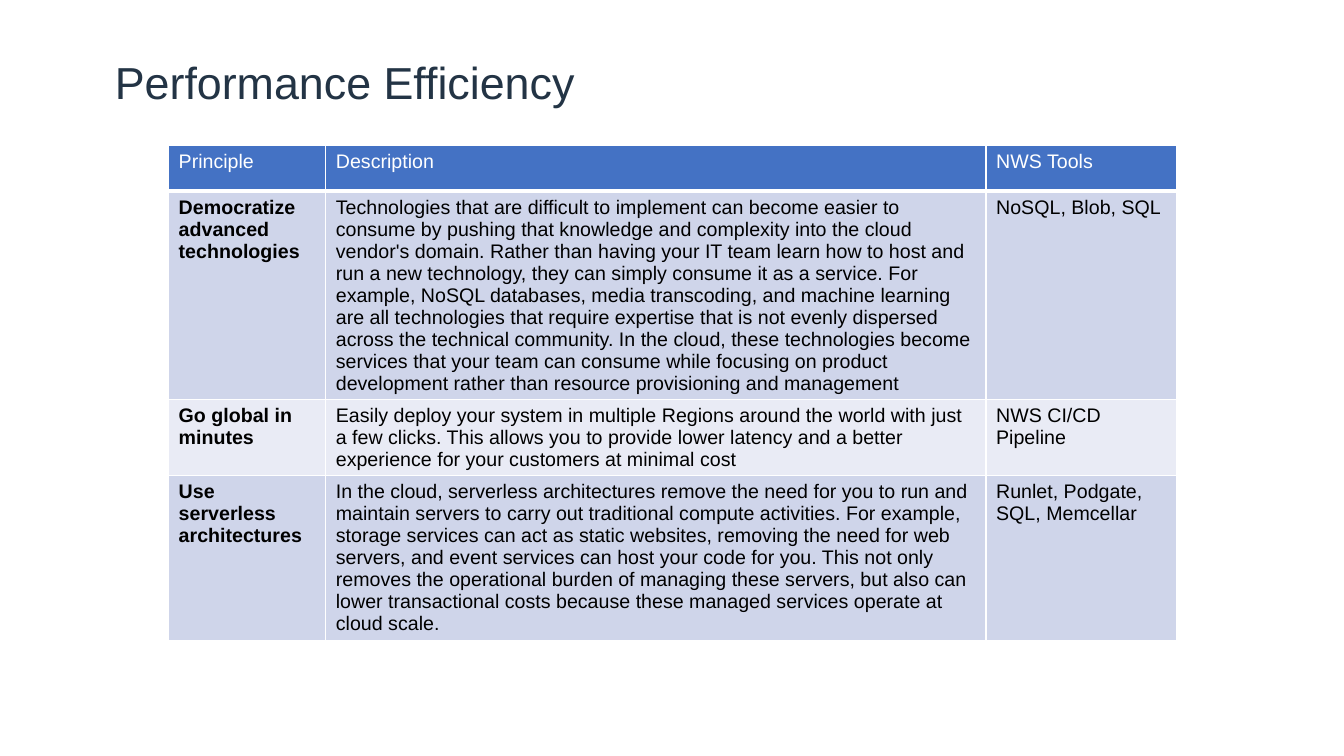
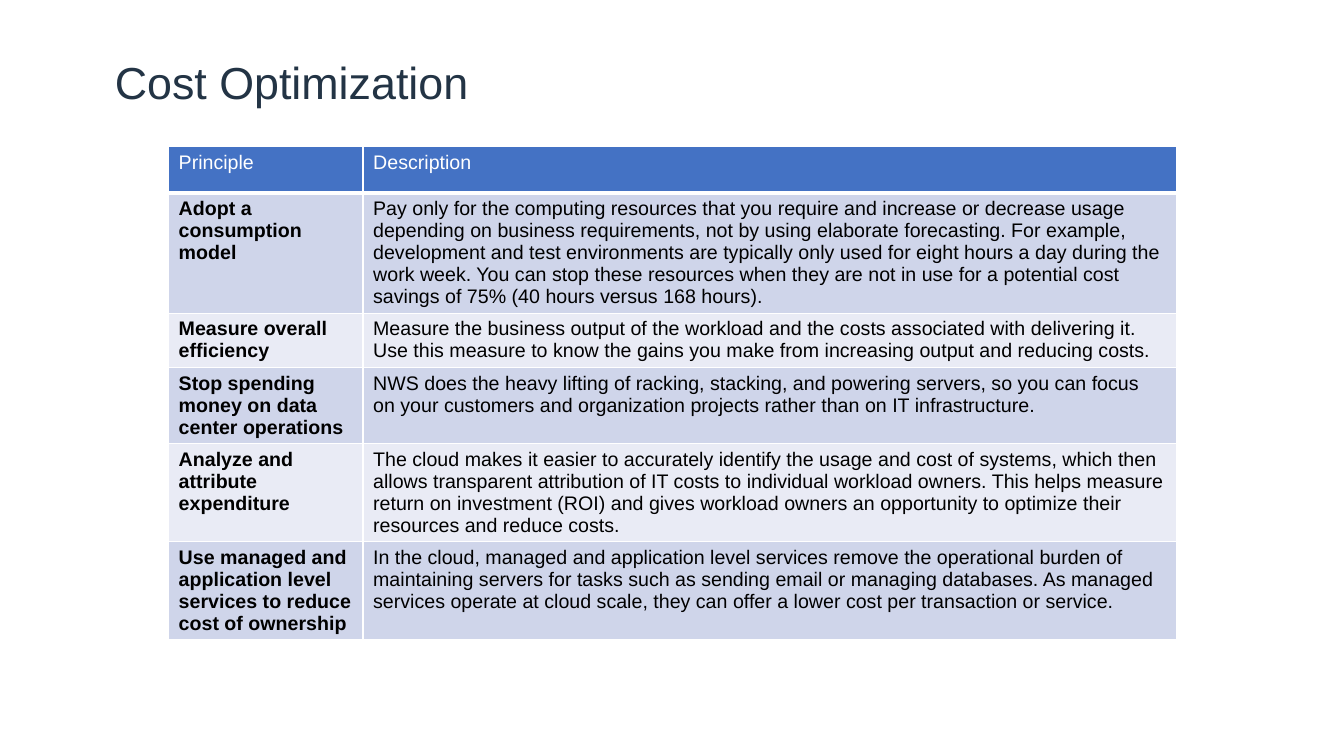
from dataclasses import dataclass

from lxml.etree import SubElement
from pptx import Presentation
from pptx.dml.color import RGBColor
from pptx.enum.text import MSO_ANCHOR as Anchor, MSO_AUTO_SIZE as AutoSize, PP_ALIGN as Align
from pptx.oxml.ns import qn
from pptx.presentation import Presentation as Deck
from pptx.slide import Slide
from pptx.table import _Cell as Cell
from pptx.text.text import _Paragraph as Paragraph
from pptx.util import Cm, Pt

WHITE = RGBColor(0xFF, 0xFF, 0xFF)
BLACK = RGBColor(0x00, 0x00, 0x00)
TITLE_INK = RGBColor(0x23, 0x34, 0x45)
HEADER_BLUE = RGBColor(0x44, 0x72, 0xC4)
BANDS = (RGBColor(0xCF, 0xD5, 0xEA), RGBColor(0xE9, 0xEB, 0xF5))

FONT = "Arial"
TITLE_SIZE, TABLE_SIZE = Pt(32), Pt(14)
TABLE_LEFT = Cm(4.25)
HEADER_HEIGHT = Cm(1.16)
LINE_HEIGHT, CELL_PADDING = 0.55, 0.26  # cm
RULE, HEADER_RULE = Pt(1), Pt(3)


@dataclass(frozen=True)
class Principle:
    cells: tuple[str, ...]
    lines: int


@dataclass(frozen=True)
class Pillar:
    title: str
    top: float
    widths: tuple[float, ...]
    headings: tuple[str, ...]
    principles: tuple[Principle, ...]


PILLARS = (
    Pillar(
        "Performance Efficiency", 3.66, (3.96, 16.64, 4.8),
        ("Principle", "Description", "NWS Tools"),
        (
            Principle((
                "Democratize advanced technologies",
                "Technologies that are difficult to implement can become easier to consume by "
                "pushing that knowledge and complexity into the cloud vendor's domain. Rather than "
                "having your IT team learn how to host and run a new technology, they can simply "
                "consume it as a service. For example, NoSQL databases, media transcoding, and "
                "machine learning are all technologies that require expertise that is not evenly "
                "dispersed across the technical community. In the cloud, these technologies become "
                "services that your team can consume while focusing on product development rather "
                "than resource provisioning and management",
                "NoSQL, Blob, SQL"), 9),
            Principle((
                "Go global in minutes",
                "Easily deploy your system in multiple Regions around the world with just a few "
                "clicks. This allows you to provide lower latency and a better experience for your "
                "customers at minimal cost",
                "NWS CI/CD Pipeline"), 3),
            Principle((
                "Use serverless architectures",
                "In the cloud, serverless architectures remove the need for you to run and maintain "
                "servers to carry out traditional compute activities. For example, storage services "
                "can act as static websites, removing the need for web servers, and event services "
                "can host your code for you. This not only removes the operational burden of "
                "managing these servers, but also can lower transactional costs because these "
                "managed services operate at cloud scale.",
                "Runlet, Podgate, SQL, Memcellar"), 7),
        ),
    ),
    Pillar(
        "Cost Optimization", 3.7, (4.9, 20.5),
        ("Principle", "Description"),
        (
            Principle((
                "Adopt a consumption model",
                "Pay only for the computing resources that you require and increase or decrease "
                "usage depending on business requirements, not by using elaborate forecasting. For "
                "example, development and test environments are typically only used for eight hours "
                "a day during the work week. You can stop these resources when they are not in use "
                "for a potential cost savings of 75% (40 hours versus 168 hours)."), 5),
            Principle((
                "Measure overall efficiency",
                "Measure the business output of the workload and the costs associated with "
                "delivering it. Use this measure to know the gains you make from increasing output "
                "and reducing costs."), 2),
            Principle((
                "Stop spending money on data center operations",
                "NWS does the heavy lifting of racking, stacking, and powering servers, so you can "
                "focus on your customers and organization projects rather than on IT "
                "infrastructure."), 3),
            Principle((
                "Analyze and attribute expenditure",
                "The cloud makes it easier to accurately identify the usage and cost of systems, "
                "which then allows transparent attribution of IT costs to individual workload "
                "owners. This helps measure return on investment (ROI) and gives workload owners an "
                "opportunity to optimize their resources and reduce costs."), 4),
            Principle((
                "Use managed and application level services to reduce cost of ownership",
                "In the cloud, managed and application level services remove the operational burden "
                "of maintaining servers for tasks such as sending email or managing databases. As "
                "managed services operate at cloud scale, they can offer a lower cost per "
                "transaction or service."), 4),
        ),
    ),
)


def add_run(paragraph: Paragraph, text: str, size: Pt, color: RGBColor, bold: bool = False) -> None:
    run = paragraph.add_run()
    run.text = text
    run.font.name, run.font.size, run.font.bold = FONT, size, bold
    run.font.color.rgb = color


def add_title(slide: Slide, text: str) -> None:
    title = slide.shapes.title
    title.left, title.top, title.width, title.height = Cm(2.64), Cm(0.89), Cm(31.19), Cm(2.51)
    frame = title.text_frame
    frame.word_wrap, frame.auto_size = True, AutoSize.NONE
    frame.vertical_anchor = Anchor.MIDDLE
    paragraph = frame.paragraphs[0]
    paragraph.alignment, paragraph.line_spacing = Align.LEFT, 0.9
    add_run(paragraph, text, TITLE_SIZE, TITLE_INK)


def set_borders(cell: Cell, bottom: Pt) -> None:
    """Rule all four sides in white; call before filling, as the schema orders lines first."""
    properties = cell._tc.get_or_add_tcPr()
    for side, width in (("L", RULE), ("R", RULE), ("T", RULE), ("B", bottom)):
        line = SubElement(properties, qn(f"a:ln{side}"), w=str(int(width)))
        SubElement(SubElement(line, qn("a:solidFill")), qn("a:srgbClr"), val=str(WHITE))


def fill_cell(cell: Cell, text: str, fill: RGBColor, ink: RGBColor,
              bold: bool = False, bottom: Pt = RULE) -> None:
    set_borders(cell, bottom)
    cell.fill.solid()
    cell.fill.fore_color.rgb = fill
    add_run(cell.text_frame.paragraphs[0], text, TABLE_SIZE, ink, bold)


def add_principles(slide: Slide, pillar: Pillar) -> None:
    heights = [HEADER_HEIGHT] + [
        Cm(principle.lines * LINE_HEIGHT + CELL_PADDING) for principle in pillar.principles]
    table = slide.shapes.add_table(
        len(heights), len(pillar.widths), TABLE_LEFT, Cm(pillar.top),
        Cm(sum(pillar.widths)), sum(heights)).table
    table.first_row = table.horz_banding = False
    for column, width in zip(table.columns, pillar.widths):
        column.width = Cm(width)
    for row, height in zip(table.rows, heights):
        row.height = height
    for column, heading in enumerate(pillar.headings):
        fill_cell(table.cell(0, column), heading, HEADER_BLUE, WHITE, bottom=HEADER_RULE)
    for row, principle in enumerate(pillar.principles):
        for column, text in enumerate(principle.cells):
            fill_cell(table.cell(row + 1, column), text, BANDS[row % 2], BLACK, bold=column == 0)


def add_pillar(deck: Deck, pillar: Pillar) -> None:
    slide = deck.slides.add_slide(deck.slide_layouts.get_by_name("Title Only"))
    add_title(slide, pillar.title)
    add_principles(slide, pillar)


def main() -> None:
    deck = Presentation()
    deck.slide_width, deck.slide_height = Cm(33.87), Cm(19.05)
    for pillar in PILLARS:
        add_pillar(deck, pillar)
    deck.save("out.pptx")


if __name__ == "__main__":
    main()
